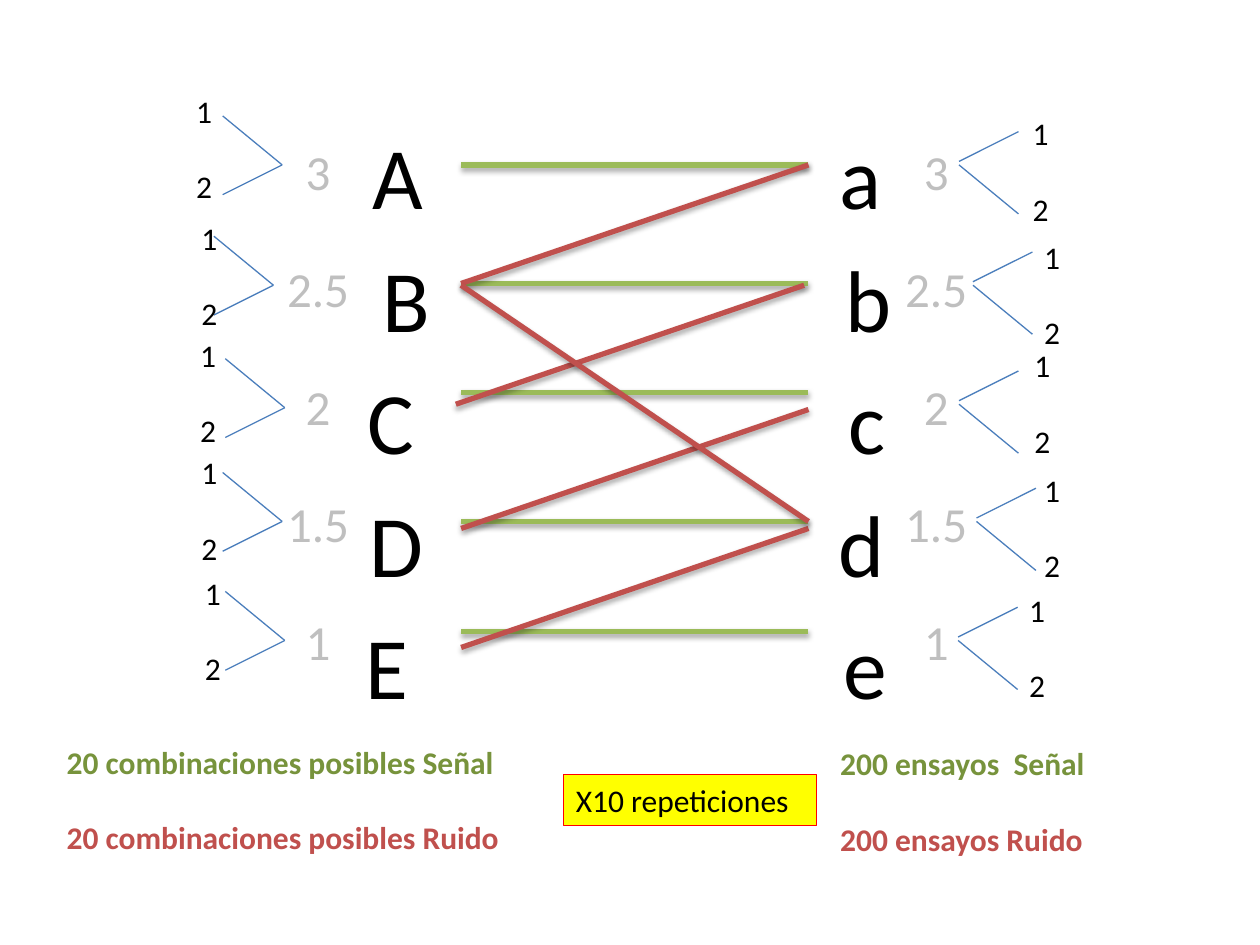
from lxml import etree
from pptx import Presentation, util as u
from pptx.dml.color import RGBColor
from pptx.enum import shapes, text
from pptx.oxml.ns import qn

Pt = u.Pt
GREEN, RED, BLUE, GREY, OLIVE = "9BBB59", "C0504D", "4B7EBC", "BFBFBF", "77933C"
LETTERS = [(190, "ABCDE", (213, 218.5, 210, 211, 209)),
           (460, "abcde", (479.5, 483, 485, 479, 482))]
DURATIONS = ["3", "2.5", "2", "1.5", "1"]
SIGNAL_Y = [94.25, 162, 224.5, 298, 361]
NOISE = [(263.5, 162, 462, 94.25), (260.5, 231, 459.5, 163), (263.5, 302, 462, 234),
         (263.5, 370, 462, 302), (263.5, 163, 462, 298)]
LEFT_FORKS = [(161.25, 94.25), (156.25, 163), (162.75, 233), (161.25, 298), (162.75, 366)]
RIGHT_FORKS = [(548, 94.25), (556, 163), (548, 231), (558, 298), (547.5, 366)]
PAIRS = [(105, 49), (108, 121.5), (107.25, 188.5), (108, 255.5), (110, 324.5),
         (583, 61.75), (589.5, 132.5), (584, 194.25), (589.5, 265.5), (581, 334)]
TOTALS = [(31, 421, "20 combinaciones posibles Señal", "20 combinaciones posibles Ruido"),
          (473, 421.75, "200 ensayos  Señal", "200 ensayos Ruido")]
INSET = 7.2


def rgb(value):
    return RGBColor.from_string(value)


def write(tf, lines, size=18, colors=("000000",), bold=False,
          align=text.PP_ALIGN.LEFT, gap=0):
    tf.word_wrap = True
    tf.auto_size = text.MSO_AUTO_SIZE.NONE
    tf.vertical_anchor = text.MSO_ANCHOR.TOP
    for i, line in enumerate(lines):
        p = tf.paragraphs[0] if i == 0 else tf.add_paragraph()
        p.alignment = align
        p.space_before = Pt(gap if i else 0)
        r = p.add_run()
        r.text = line
        r.font.name, r.font.size, r.font.bold = "Calibri", Pt(size), bold
        r.font.color.rgb = rgb(colors[i % len(colors)])


def box(x, y, w, h, lines, **fmt):
    tf = s.shapes.add_textbox(Pt(x), Pt(y), Pt(w), Pt(h)).text_frame
    tf.margin_right = 0 if w < 20 else Pt(INSET)
    write(tf, lines, **fmt)


def line(x1, y1, x2, y2, color, width=0.75, shadow=False):
    cx = s.shapes.add_connector(shapes.MSO_CONNECTOR.STRAIGHT, Pt(x1), Pt(y1), Pt(x2), Pt(y2))
    cx.line.color.rgb = rgb(color)
    cx.line.width = Pt(width)
    effects = etree.SubElement(cx._element.spPr, qn("a:effectLst"))
    if shadow:
        outer = etree.SubElement(effects, qn("a:outerShdw"), blurRad=str(Pt(3.1)),
                                 dist=str(Pt(1.8)), dir="5400000", rotWithShape="0")
        black = etree.SubElement(outer, qn("a:srgbClr"), val="000000")
        etree.SubElement(black, qn("a:alpha"), val="35000")


prs = Presentation()
prs.slide_width, prs.slide_height = Pt(720), Pt(540)
s = prs.slides.add_slide(prs.slide_layouts[3])
title = s.shapes.title._element
title.getparent().remove(title)

for idx, (left, letters, starts) in enumerate(LETTERS, 1):
    body = s.placeholders[idx]
    body.left, body.top, body.width, body.height = Pt(left), Pt(66.25), Pt(80), Pt(345)
    write(body.text_frame, letters, size=50, gap=10)
    for p, x in zip(body.text_frame.paragraphs, starts):
        pPr = p._p.get_or_add_pPr()
        pPr.set("marL", str(Pt(x - left - INSET)))
        pPr.set("indent", "0")
        etree.SubElement(pPr, qn("a:buNone"))

for y in SIGNAL_Y:
    line(263.5, y, 462, y, GREEN, 3, True)
for ends in NOISE:
    line(*ends, RED, 3, True)

for x in (154.25, 507.5):
    box(x, 77.25, 55, 312.5, DURATIONS, size=28, colors=(GREY,),
        align=text.PP_ALIGN.CENTER, gap=33.5)

for x, y in LEFT_FORKS:
    line(x, y, x - 34, y - 28, BLUE)
    line(x, y, x - 34, y + 17, BLUE)
for x, y in RIGHT_FORKS:
    line(x, y, x + 34, y + 28, BLUE)
    line(x, y - 2, x + 34, y - 19, BLUE)

for x, y in PAIRS:
    box(x, y, 18, 72.5, ["1", "2"], gap=21.5)

for x, y, *lines in TOTALS:
    box(x, y, 283.5, 72.5, lines, colors=(OLIVE, RED), bold=True, gap=21.5)

sp = s.shapes.add_shape(shapes.MSO_SHAPE.RECTANGLE, Pt(322), Pt(442.75), Pt(144.5), Pt(29))
sp.shadow.inherit = False
sp.fill.solid()
sp.fill.fore_color.rgb = rgb("FFFF00")
sp.line.color.rgb = rgb("FF0000")
sp.line.width = Pt(0.75)
write(sp.text_frame, ["X10 repeticiones"])

prs.save("out.pptx")
